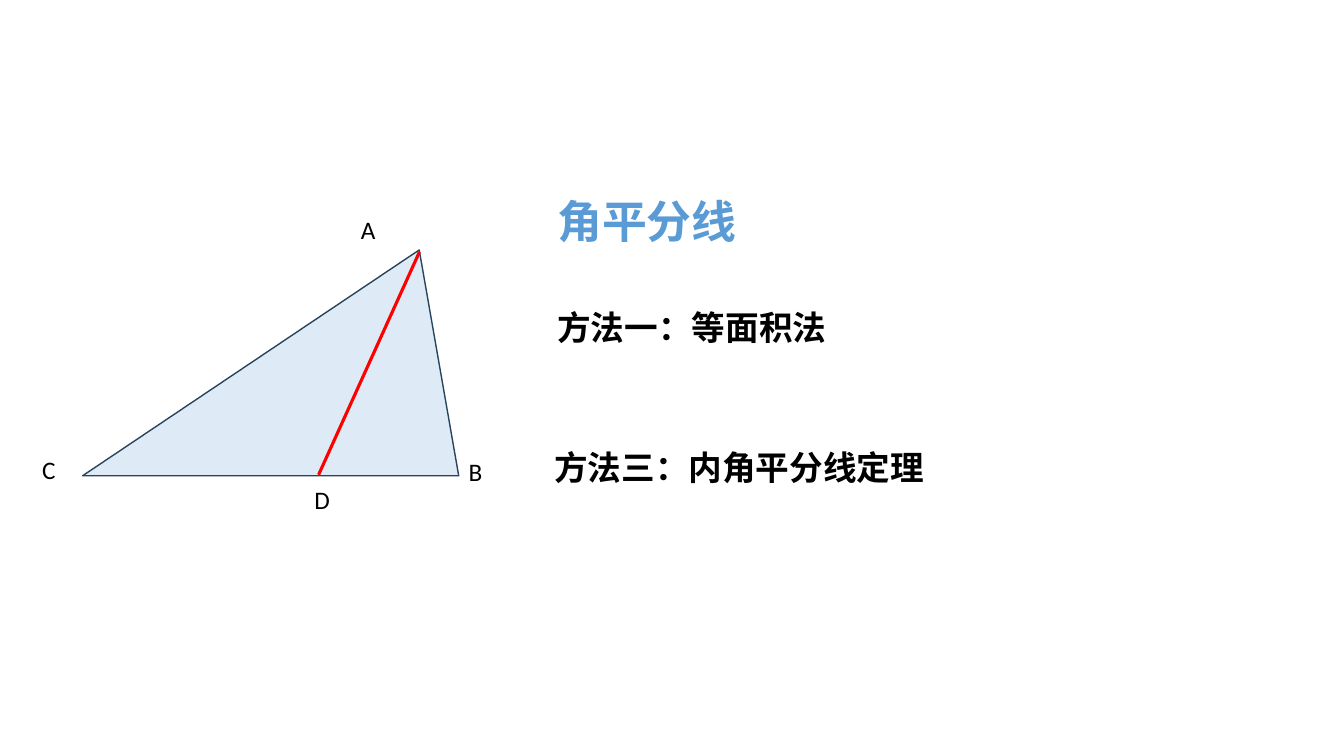
import pptx
import pptx.util
import pptx.dml.color
import pptx.enum.shapes
import pptx.enum.text
import pptx.oxml.ns
import lxml.etree

Inches = pptx.util.Inches
Pt = pptx.util.Pt
Align = pptx.enum.text.PP_ALIGN


def colour(value):
    return pptx.dml.color.RGBColor.from_string(value)


def add_text(page, left, top, width, height, lines):
    """Each line is (text, font values, paragraph values)."""
    box = page.shapes.add_textbox(Inches(left), Inches(top), Inches(width), Inches(height))
    box.text_frame.word_wrap = True
    for index, (text, font, layout) in enumerate(lines):
        para = box.text_frame.paragraphs[0] if index == 0 else box.text_frame.add_paragraph()
        for name, value in layout.items():
            setattr(para, name, value)
        span = para.add_run()
        span.text = text
        span.font.color.rgb = colour(font["colour"])
        for name, value in font["values"].items():
            setattr(span.font, name, value)
    return box


deck = pptx.Presentation()
deck.slide_width, deck.slide_height = Inches(13.33), Inches(7.5)
page = deck.slides.add_slide(deck.slide_layouts[6])

title = {"colour": "5B9BD5", "values": {"name": "Calibri", "size": Pt(32), "bold": True}}
method = {"colour": "000000", "values": {"name": "Calibri", "size": Pt(24), "bold": True}}
vertex = {"colour": "000000", "values": {"name": "Calibri", "size": Pt(18)}}

# Heading and methods
add_text(page, 5.43, 1.66, 5.56, 1.87, [
    ("角平分线", title, {"line_spacing": 1.4}),
    ("方法一：等面积法", method, {"line_spacing": 1.4, "space_before": Pt(31)}),
])
add_text(page, 4.55, 4.18, 5.56, 0.71, [
    ("方法三：内角平分线定理", method, {"line_spacing": 1.5, "alignment": Align.CENTER}),
])

# Triangle ABC
triangle = page.shapes.add_shape(
    pptx.enum.shapes.MSO_SHAPE.ISOSCELES_TRIANGLE,
    Inches(0.82), Inches(2.48), Inches(3.73), Inches(2.24))
triangle.adjustments[0] = 0.895
triangle.shadow.inherit = False
triangle.fill.solid()
triangle.fill.fore_color.rgb = colour("DEEBF7")
triangle.line.color.rgb = colour("28445D")
triangle.line.width = Pt(1)

# Bisector AD
bisector = page.shapes.add_connector(
    pptx.enum.shapes.MSO_CONNECTOR.STRAIGHT,
    Inches(4.16), Inches(2.5), Inches(3.16), Inches(4.71))
bisector.line.color.rgb = colour("FF0000")
bisector.line.width = Pt(2.25)
lxml.etree.SubElement(bisector._element.spPr, pptx.oxml.ns.qn("a:effectLst"))

# Point labels
for letter, left, top in [("A", 3.48, 2.08), ("C", 0.32, 4.46), ("D", 3.02, 4.76), ("B", 4.55, 4.48)]:
    label = add_text(page, left, top, 0.5, 0.4, [(letter, vertex, {})])
    label.text_frame.auto_size = pptx.enum.text.MSO_AUTO_SIZE.SHAPE_TO_FIT_TEXT

deck.save("out.pptx")
